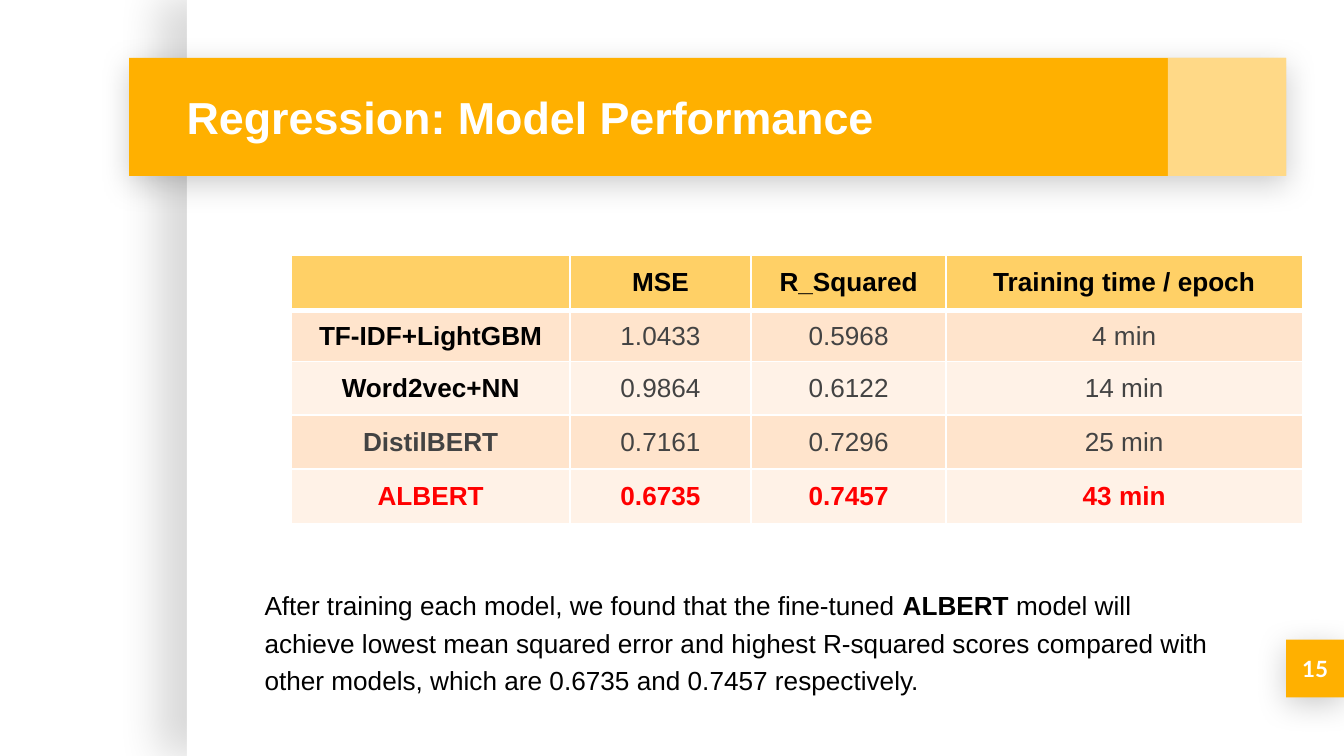
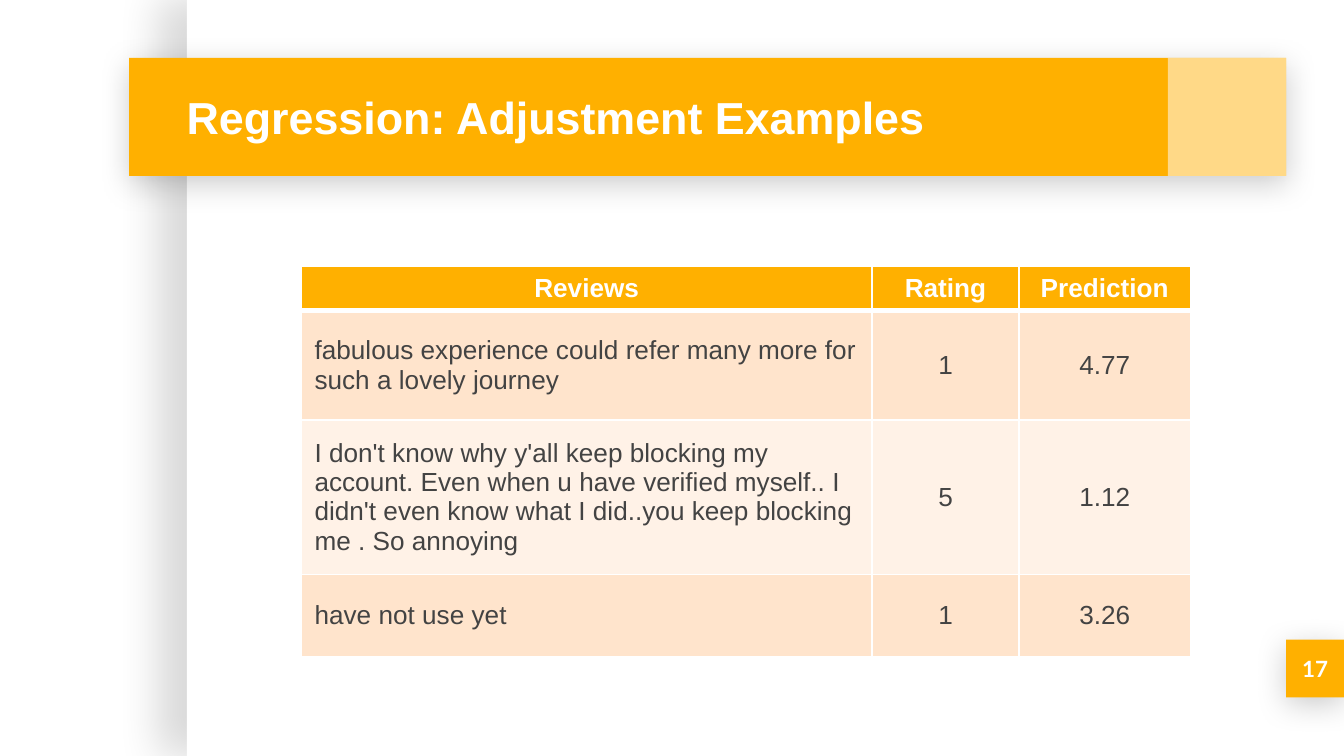
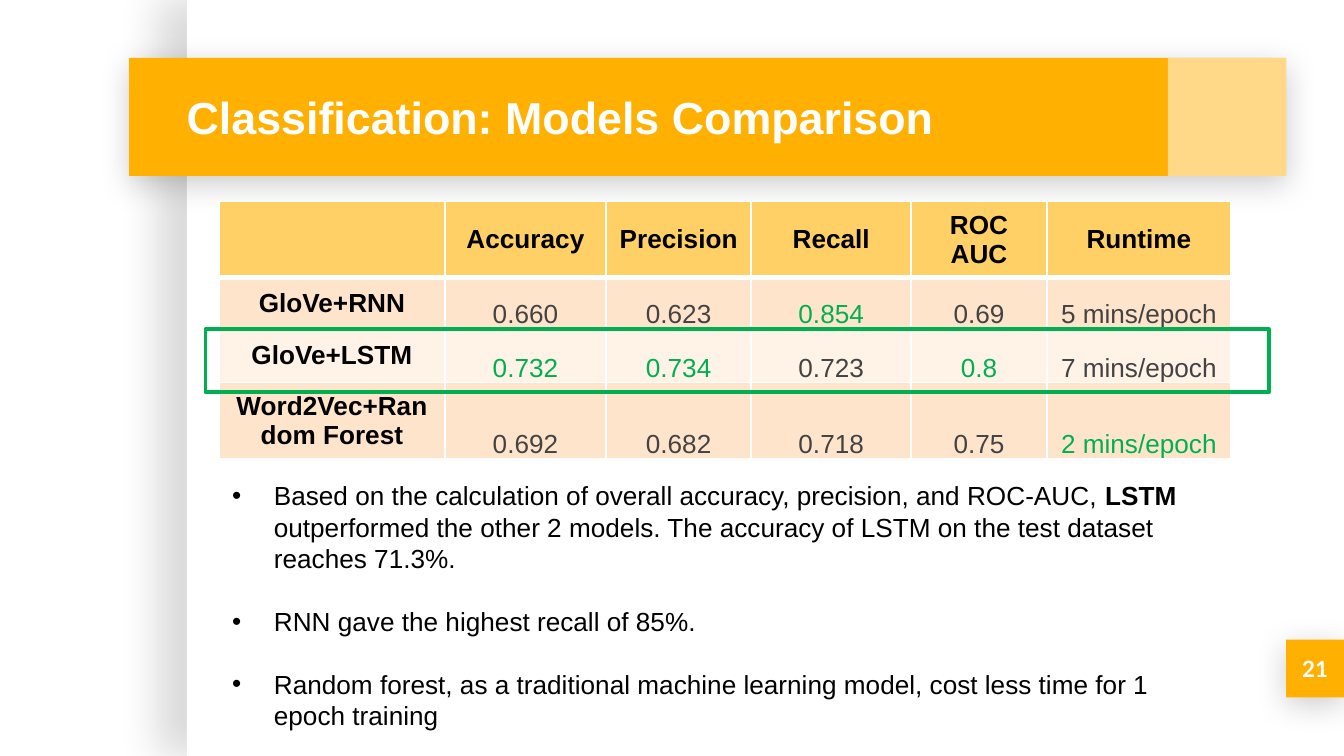
import pptx
import pptx.dml.color
import pptx.enum.shapes
import pptx.enum.text
import pptx.oxml
import pptx.oxml.ns
import pptx.util

Inches = pptx.util.Inches
Pt = pptx.util.Pt
ALIGN = pptx.enum.text.PP_ALIGN
ANCHOR = pptx.enum.text.MSO_ANCHOR

PAGE_WIDTH = 10
PAGE_HEIGHT = PAGE_WIDTH * 9 / 16
WHITE, BLACK, GREY = "FFFFFF", "000000", "434343"
AMBER, LIGHT_AMBER = "FFB000", "FFD066"
BANDS = ("FFE4CC", "FFF2E7")
RED, GREEN = "FF0000", "00B050"
BODY_SIZE = 14


def color(hex_code):
    """Turn a hex string into a colour."""
    return pptx.dml.color.RGBColor.from_string(hex_code)


def xml(tag, body="", attributes=""):
    """Build one drawing element from its tag, inner markup and attributes."""
    space = pptx.oxml.ns.nsdecls("a")
    return pptx.oxml.parse_xml(f"<a:{tag} {space} {attributes}>{body}</a:{tag}>")


def add_span(para, text, size, hex_code, bold=False, font="Arial"):
    """Append one styled run to a paragraph."""
    span = para.add_run()
    span.text = text
    span.font.name = font
    span.font.size = Pt(size)
    span.font.bold = bold
    span.font.color.rgb = color(hex_code)


def add_rectangle(page, left, top, width, height, fill=None, line=None, opacity=100):
    """Add a rectangle with an optional fill and outline."""
    box = page.shapes.add_shape(pptx.enum.shapes.MSO_SHAPE.RECTANGLE,
                                Inches(left), Inches(top), Inches(width), Inches(height))
    box.shadow.inherit = False
    if fill:
        box.fill.solid()
        box.fill.fore_color.rgb = color(fill)
        if opacity < 100:
            tint = box.fill._xPr.find(".//" + pptx.oxml.ns.qn("a:srgbClr"))
            tint.append(xml("alpha", attributes=f'val="{opacity * 1000}"'))
    else:
        box.fill.background()
    if line:
        box.line.color.rgb = color(line)
        box.line.width = Pt(2)
    else:
        box.line.fill.background()
    return box


def add_shadow(box, opacity, blur, distance, angle):
    """Give a shape a soft black outer shadow."""
    effects = box._element.spPr.find(pptx.oxml.ns.qn("a:effectLst"))
    effects.append(xml(
        "outerShdw",
        f'<a:srgbClr val="{BLACK}"><a:alpha val="{opacity * 1000}"/></a:srgbClr>',
        f'blurRad="{Pt(blur)}" dist="{Pt(distance)}" dir="{angle * 60000}" '
        'algn="ctr" rotWithShape="0"'))


def add_text_box(page, left, top, width, height):
    """Add an empty wrapping text box and return its frame."""
    frame = page.shapes.add_textbox(Inches(left), Inches(top),
                                    Inches(width), Inches(height)).text_frame
    frame.word_wrap = True
    return frame


def add_page(deck, title, number):
    """Add a page with the shared panel, title band and page number."""
    page = deck.slides.add_slide(deck.slide_layouts[6])
    panel = add_rectangle(page, 1.39, 0, 8.61, PAGE_HEIGHT, WHITE)
    add_shadow(panel, 15, 22.5, 15, 180)
    tile = add_rectangle(page, 9.57, 4.76, 0.43, 0.43, AMBER)
    band = add_rectangle(page, 0.96, 0.43, 8.61, 0.88, AMBER)
    for box in (tile, band):
        add_shadow(box, 20, 16.9, 3.8, 90)
    add_rectangle(page, 8.69, 0.43, 0.88, 0.88, WHITE, opacity=53)

    heading = add_text_box(page, 1.29, 0.43, 7.37, 0.88)
    heading.vertical_anchor = ANCHOR.MIDDLE
    add_span(heading.paragraphs[0], title, 24, WHITE, True)

    label = tile.text_frame
    label.vertical_anchor = ANCHOR.MIDDLE
    label.margin_left = label.margin_right = Inches(0.1)
    label.margin_top = label.margin_bottom = Inches(0.1)
    label.paragraphs[0].alignment = ALIGN.CENTER
    add_span(label.paragraphs[0], number, 12, WHITE, True, "Lato")
    return page


def add_borders(cell, row):
    """Draw white cell borders, heavier under the header row."""
    widths = {"lnL": 1, "lnR": 1, "lnT": 3 if row == 1 else 1, "lnB": 3 if row == 0 else 1}
    for tag, width in widths.items():
        cell._tc.get_or_add_tcPr().append(xml(
            tag, f'<a:solidFill><a:srgbClr val="{WHITE}"/></a:solidFill>',
            f'w="{Pt(width)}"'))


def add_table(page, left, top, widths, heights, rows, style,
              header=(LIGHT_AMBER, BLACK), left_column=False, low_values=False):
    """Add a banded table; style gives the colour and weight of a body cell."""
    table = page.shapes.add_table(len(rows), len(widths), Inches(left), Inches(top),
                                  Inches(sum(widths)), Inches(sum(heights))).table
    for column, width in zip(table.columns, widths):
        column.width = Inches(width)
    for line, height in zip(table.rows, heights):
        line.height = Inches(height)
    for row, texts in enumerate(rows):
        for column, text in enumerate(texts):
            cell = table.cell(row, column)
            add_borders(cell, row)
            cell.fill.solid()
            cell.fill.fore_color.rgb = color(BANDS[(row - 1) % 2] if row else header[0])
            cell.vertical_anchor = ANCHOR.MIDDLE
            if low_values and row and column:
                cell.vertical_anchor = ANCHOR.BOTTOM
                cell.margin_left = cell.margin_right = cell.margin_top = Inches(0.01)
                cell.margin_bottom = 0
            para = cell.text_frame.paragraphs[0]
            indented = left_column and row and not column
            para.alignment = ALIGN.LEFT if indented else ALIGN.CENTER
            if text:
                hex_code, bold = style(row, column) if row else (header[1], True)
                add_span(para, text, BODY_SIZE, hex_code, bold)


def add_spans(para, spans):
    """Add body text, with every second span in bold."""
    for index, text in enumerate(spans):
        add_span(para, text, BODY_SIZE, BLACK, index % 2 == 1)


def add_bullets(frame, items, gap):
    """Fill a frame with bulleted paragraphs set apart by a gap in points."""
    for index, spans in enumerate(items):
        para = frame.add_paragraph() if index else frame.paragraphs[0]
        if index:
            para.space_before = Pt(gap)
        properties = para._p.get_or_add_pPr()
        properties.set("marL", str(Inches(0.31)))
        properties.set("indent", str(Inches(-0.31)))
        properties.append(xml("buClr", f'<a:srgbClr val="{BLACK}"/>'))
        properties.append(xml("buFont", attributes='typeface="Arial"'))
        properties.append(xml("buChar", attributes='char="•"'))
        add_spans(para, spans)


def add_performance_page(deck):
    """Add the regression scores and their conclusion."""
    page = add_page(deck, "Regression: Model Performance", "15")
    rows = [
        ("", "MSE", "R_Squared", "Training time / epoch"),
        ("TF-IDF+LightGBM", "1.0433", "0.5968", "4 min"),
        ("Word2vec+NN", "0.9864", "0.6122", "14 min"),
        ("DistilBERT", "0.7161", "0.7296", "25 min"),
        ("ALBERT", "0.6735", "0.7457", "43 min"),
    ]

    def style(row, column):
        """Mark the best model in red and the simple models in black."""
        if row == 4:
            return RED, True
        return (BLACK if column == 0 and row < 3 else GREY), column == 0

    add_table(page, 2.17, 1.9, (2.07, 1.35, 1.45, 2.65),
              (0.41, 0.38, 0.4, 0.4, 0.41), rows, style)
    frame = add_text_box(page, 1.87, 4.29, 7.27, 1.89)
    frame.paragraphs[0].line_spacing = 1.2
    add_spans(frame.paragraphs[0], (
        "After training each model, we found that the fine-tuned ", "ALBERT ",
        "model will achieve lowest mean squared error and highest R-squared scores "
        "compared with other models, which are 0.6735 and 0.7457 respectively."))


def add_examples_page(deck):
    """Add reviews whose rating and prediction differ."""
    page = add_page(deck, "Regression: Adjustment Examples", "17")
    rows = [
        ("Reviews", "Rating", "Prediction"),
        ("fabulous experience could refer many more for such a lovely journey", "1", "4.77"),
        ("I don't know why y'all keep blocking my account. Even when u have verified "
         "myself.. I didn't even know what I did..you keep blocking me . So annoying",
         "5", "1.12"),
        ("have not use yet", "1", "3.26"),
    ]
    add_table(page, 2.24, 1.98, (4.25, 1.09, 1.28), (0.31, 0.81, 1.15, 0.61), rows,
              lambda row, column: (GREY, False), (AMBER, WHITE), left_column=True)


def add_comparison_page(deck):
    """Add the classification scores with the chosen model framed."""
    page = add_page(deck, "Classification: Models Comparison", "21")
    frame = add_text_box(page, 1.63, 3.29, 7.53, 2.46)
    frame.margin_top = Inches(0.28)
    add_bullets(frame, [
        ("Based on the calculation of overall accuracy, precision, and ROC-AUC, ", "LSTM ",
         "outperformed the other 2 models. The accuracy of LSTM on the test dataset "
         "reaches 71.3%."),
        ("RNN gave the highest recall of 85%.",),
        ("Random forest, as a traditional machine learning model, cost less time for 1 "
         "epoch training",),
    ], 16.8)
    rows = [
        ("", "Accuracy", "Precision", "Recall", "ROC AUC", "Runtime"),
        ("GloVe+RNN", "0.660", "0.623", "0.854", "0.69", "5 mins/epoch"),
        ("GloVe+LSTM", "0.732", "0.734", "0.723", "0.8", "7 mins/epoch"),
        ("Word2Vec+Random Forest", "0.692", "0.682", "0.718", "0.75", "2 mins/epoch"),
    ]
    best = {(2, 1), (2, 2), (1, 3), (2, 4), (3, 5)}

    def style(row, column):
        """Mark the best value of each measure in green."""
        if column == 0:
            return BLACK, True
        return (GREEN if (row, column) in best else GREY), False

    add_table(page, 1.63, 1.5, (1.68, 1.2, 1.08, 1.19, 1.01, 1.37),
              (0.41, 0.38, 0.4, 0.41), rows, style, low_values=True)
    add_rectangle(page, 1.53, 2.45, 7.91, 0.47, line=GREEN)


def main():
    """Build the deck and save it."""
    deck = pptx.Presentation()
    deck.slide_width, deck.slide_height = Inches(PAGE_WIDTH), Inches(PAGE_HEIGHT)
    add_performance_page(deck)
    add_examples_page(deck)
    add_comparison_page(deck)
    deck.save("out.pptx")


if __name__ == "__main__":
    main()
